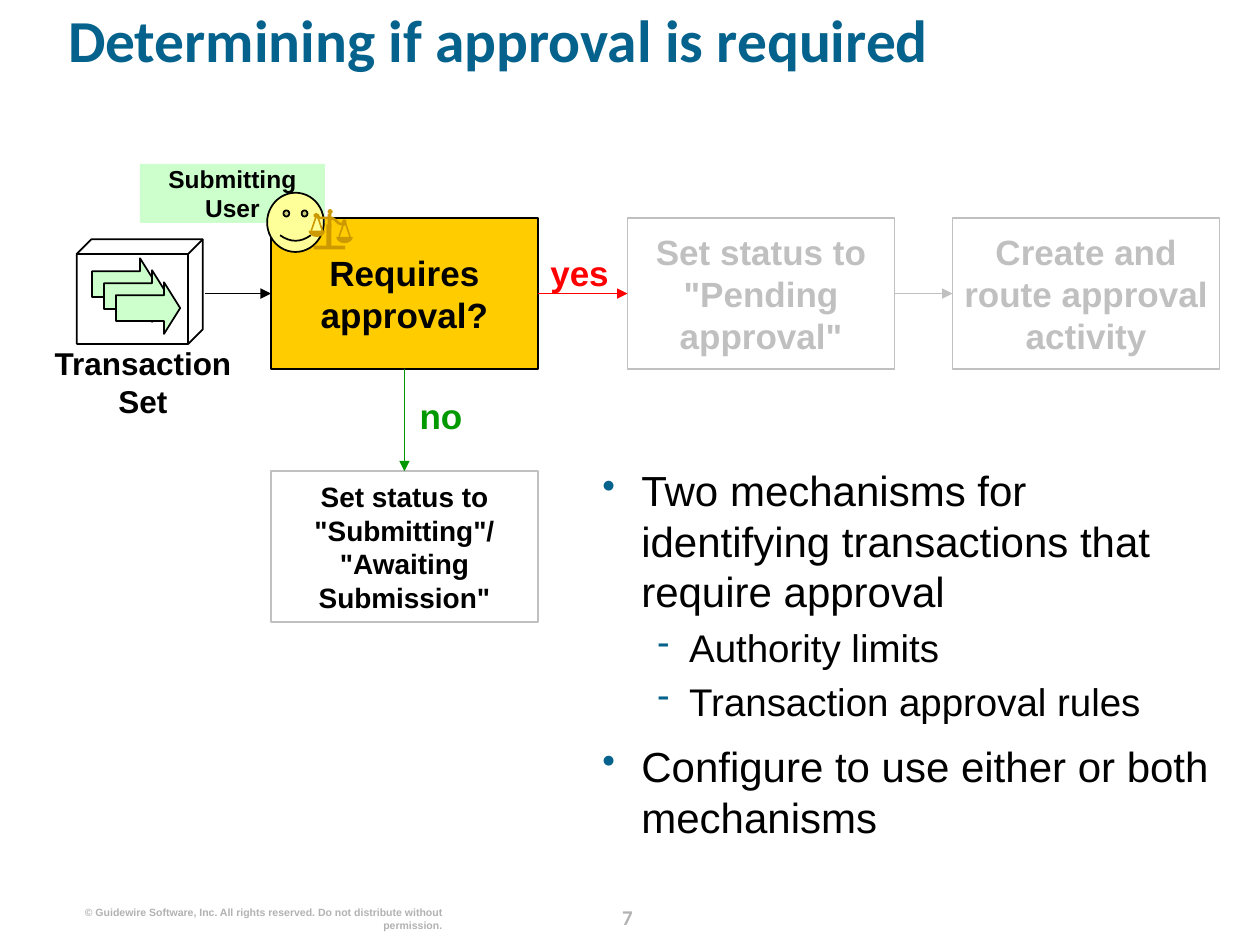
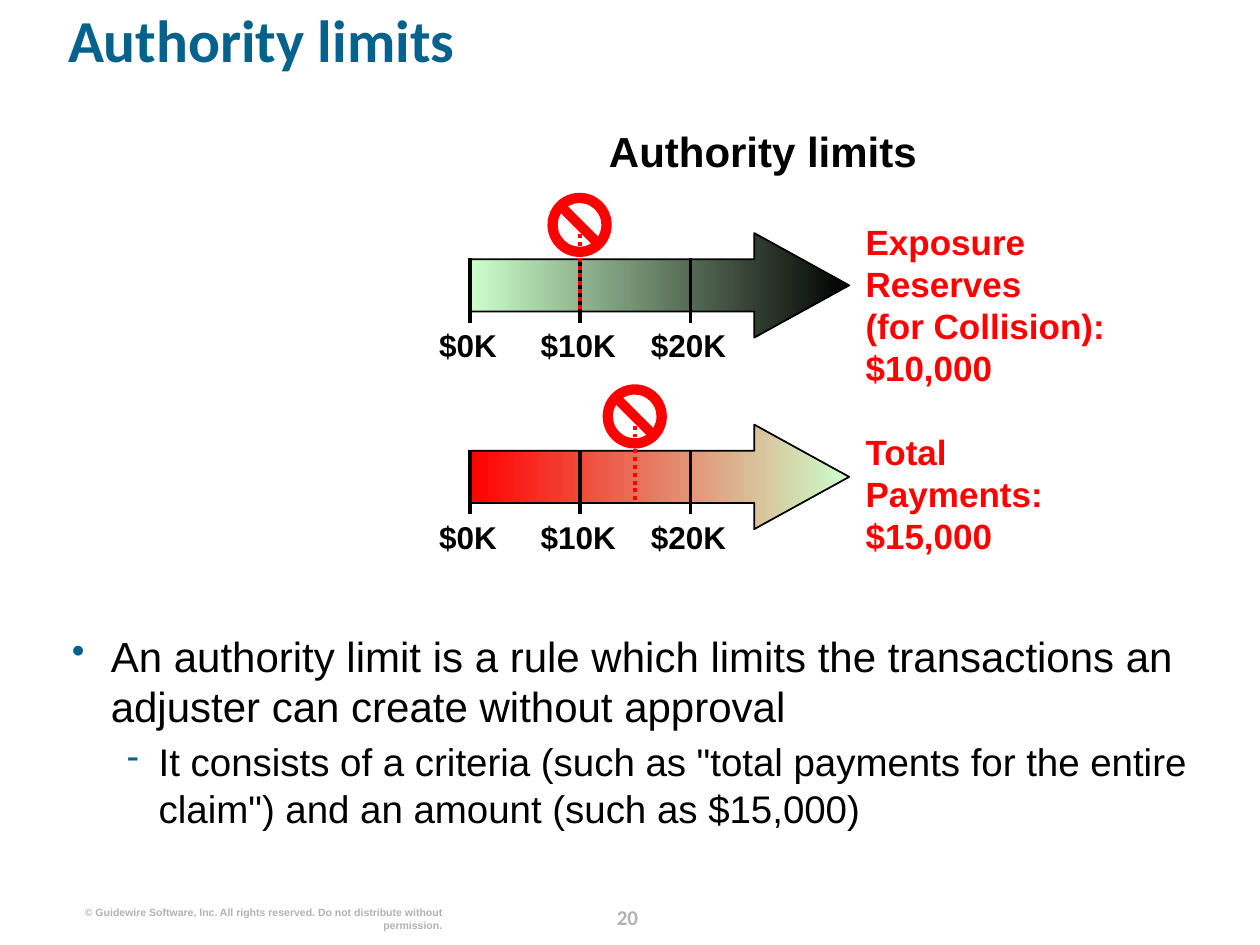
"""Build two slides on transaction approval and authority limits."""
import math
from dataclasses import dataclass
from typing import NamedTuple

import pptx
import pptx.dml.color
import pptx.enum.dml
import pptx.enum.shapes
import pptx.enum.text
import pptx.oxml
import pptx.oxml.ns
import pptx.util
from lxml import etree

Inches = pptx.util.Inches
Pt = pptx.util.Pt
SHAPE = pptx.enum.shapes.MSO_SHAPE
ALIGN = pptx.enum.text.PP_ALIGN
ANCHOR = pptx.enum.text.MSO_ANCHOR
TOP, LEFT, BOTTOM, RIGHT = range(4)


@dataclass(frozen=True)
class Theme:
    heading_font: str = "Calibri"
    body_font: str = "Arial"
    blue: str = "04628C"
    black: str = "000000"
    white: str = "FFFFFF"
    red: str = "FF0000"
    green: str = "009900"
    mint: str = "CCFFCC"
    amber: str = "FFCC00"
    face: str = "FFFF99"
    bronze: str = "CC9900"
    silver: str = "C0C0C0"
    footer: str = "B2B2B2"
    title_size: float = 34
    heading_size: float = 24
    bullet_size: float = 24
    dash_size: float = 22
    step_size: float = 20
    label_size: float = 18
    small_size: float = 16
    tag_size: float = 14
    number_size: float = 12
    copyright_size: float = 6
    thin: float = 1
    thick: float = 2.25


THEME = Theme()


class Box(NamedTuple):
    left: float
    top: float
    width: float
    height: float

    def lengths(self) -> list:
        return [Inches(value) for value in self]


class Style(NamedTuple):
    size: float
    color: str = THEME.black
    bold: bool = True
    font: str = THEME.body_font
    align: int = ALIGN.CENTER


class Bullet(NamedTuple):
    text: str
    level: int = 0


class Step(NamedTuple):
    text: str
    left: float
    top: float
    color: str
    outline: str
    size: float = THEME.step_size
    fill: str | None = None


class Gauge(NamedTuple):
    top: float
    start_color: str
    end_color: str
    limit: float
    caption: str
    caption_top: float


def rgb(color: str):
    return pptx.dml.color.RGBColor.from_string(color)


def style_paragraph(paragraph, style: Style) -> None:
    paragraph.alignment = style.align
    font = paragraph.font
    font.name, font.size, font.bold = style.font, Pt(style.size), style.bold
    font.color.rgb = rgb(style.color)


def prepare_frame(frame, inset: float = 0, anchor=ANCHOR.TOP):
    frame.word_wrap = True
    frame.margin_left = frame.margin_right = Inches(inset)
    frame.margin_top = frame.margin_bottom = 0
    frame.vertical_anchor = anchor
    return frame


def fill_frame(frame, text: str, style: Style):
    paragraph = frame.paragraphs[0]
    paragraph.text = text
    style_paragraph(paragraph, style)
    return paragraph


def add_text(slide, box: Box, text: str, style: Style):
    frame = prepare_frame(slide.shapes.add_textbox(*box.lengths()).text_frame)
    return fill_frame(frame, text, style)


def paint(shape, fill: str | None, line: str | None = None):
    shape.shadow.inherit = False
    if fill:
        shape.fill.solid()
        shape.fill.fore_color.rgb = rgb(fill)
    else:
        shape.fill.background()
    if line:
        shape.line.color.rgb = rgb(line)
        shape.line.width = Pt(THEME.thin)
    else:
        shape.line.fill.background()
    return shape


def add_shape(slide, kind, box: Box, fill: str | None, line: str | None = None,
              adjustments: tuple = ()):
    shape = slide.shapes.add_shape(kind, *box.lengths())
    for index, value in enumerate(adjustments):
        shape.adjustments[index] = value
    return paint(shape, fill, line)


def add_line(slide, start: tuple, end: tuple, color: str, width: float,
             arrow: bool = False, dotted: bool = False):
    line = slide.shapes.add_connector(
        pptx.enum.shapes.MSO_CONNECTOR.STRAIGHT,
        *[Inches(value) for value in (*start, *end)])
    line.line.color.rgb = rgb(color)
    line.line.width = Pt(width)
    if dotted:
        line.line.dash_style = pptx.enum.dml.MSO_LINE.ROUND_DOT
    properties = line.element.spPr
    if arrow:
        outline = properties.find(pptx.oxml.ns.qn("a:ln"))
        etree.SubElement(outline, pptx.oxml.ns.qn("a:tailEnd"), type="triangle")
    etree.SubElement(properties, pptx.oxml.ns.qn("a:effectLst"))
    return line


def join(slide, source, source_side: int, target, target_side: int, color: str) -> None:
    line = add_line(slide, (0, 0), (1, 1), color, THEME.thin, arrow=True)
    line.begin_connect(source, source_side)
    line.end_connect(target, target_side)


def add_outline(slide, points: list, fill: str) -> None:
    corners = [(Inches(x), Inches(y)) for x, y in points]
    builder = slide.shapes.build_freeform(*corners[0])
    builder.add_line_segments(corners[1:])
    paint(builder.convert_to_shape(), fill)


def mark_bullet(paragraph, level: int) -> None:
    properties = paragraph._p.get_or_add_pPr()
    properties.set("marL", str(Inches((0.31, 0.69)[level])))
    properties.set("indent", str(-Inches((0.31, 0.25)[level])))
    namespace = pptx.oxml.ns.nsdecls("a")
    for markup in (f'<a:buClr {namespace}><a:srgbClr val="{THEME.blue}"/></a:buClr>',
                   f'<a:buSzPct {namespace} val="90000"/>',
                   f'<a:buChar {namespace} char="{"•-"[level]}"/>'):
        properties.append(pptx.oxml.parse_xml(markup))


def add_bullets(slide, box: Box, bullets: list[Bullet]) -> None:
    frame = prepare_frame(slide.shapes.add_textbox(*box.lengths()).text_frame)
    for index, bullet in enumerate(bullets):
        paragraph = frame.add_paragraph() if index else frame.paragraphs[0]
        paragraph.text = bullet.text
        mark_bullet(paragraph, bullet.level)
        size = (THEME.bullet_size, THEME.dash_size)[bullet.level]
        style_paragraph(paragraph, Style(size, bold=False, align=ALIGN.LEFT))
        if index:
            paragraph.space_before = Pt(round(size * (0.4, 0.2)[bullet.level], 1))


def add_base_slide(presentation, title: str, number: int):
    slide = presentation.slides.add_slide(presentation.slide_layouts[6])
    slide.background.fill.solid()
    slide.background.fill.fore_color.rgb = rgb(THEME.white)
    heading = add_text(slide, Box(0.54, 0.13, 9.1, 0.81), title,
                       Style(THEME.title_size, THEME.blue, True, THEME.heading_font, ALIGN.LEFT))
    heading.line_spacing = 0.8
    page = add_text(slide, Box(4.73, 7.13, 0.5, 0.25), str(number),
                    Style(THEME.number_size, THEME.footer, font=THEME.heading_font))
    page.line_spacing = Pt(18)
    add_text(slide, Box(0.61, 7.19, 2.9, 0.2),
             "© Guidewire Software, Inc. All rights reserved. Do not distribute without permission.",
             Style(THEME.copyright_size, THEME.footer, align=ALIGN.RIGHT))
    return slide


def add_step(slide, step: Step):
    shape = add_shape(slide, SHAPE.RECTANGLE, Box(step.left, step.top, 2.12, 1.2),
                      step.fill, step.outline)
    frame = prepare_frame(shape.text_frame, 0.04, ANCHOR.MIDDLE)
    fill_frame(frame, step.text, Style(step.size, step.color))
    return shape


def add_scale_pan(slide, left: float, top: float) -> None:
    center = left + 0.065
    bowl = [(center - 0.065 * math.cos(math.pi * step / 16),
             top + 0.05 * math.sin(math.pi * step / 16)) for step in range(17)]
    add_outline(slide, bowl, THEME.bronze)
    for side in (-1, 1):
        string = [(-0.04, 0.01), (0, -0.11), (-0.01, -0.12), (-0.05, 0)]
        add_outline(slide, [(center - side * x, top + y) for x, y in string], THEME.bronze)


def add_scales(slide) -> None:
    beam = [(2.75, 1.77), (2.75, 1.75), (2.73, 1.74), (2.72, 1.75), (2.71, 1.77), (2.69, 1.76),
            (2.67, 1.74), (2.64, 1.72), (2.6, 1.72), (2.54, 1.72), (2.53, 1.7), (2.51, 1.69),
            (2.49, 1.7), (2.49, 1.72), (2.51, 1.73), (2.53, 1.74), (2.6, 1.74), (2.65, 1.75),
            (2.68, 1.78), (2.71, 1.79), (2.74, 1.79)]
    add_outline(slide, beam, THEME.bronze)
    add_scale_pan(slide, 2.45, 1.83)
    add_scale_pan(slide, 2.67, 1.88)
    for part in (Box(2.6, 1.7, 0.03, 0.11), Box(2.59, 1.78, 0.04, 0.18),
                 Box(2.49, 1.95, 0.25, 0.03)):
        add_shape(slide, SHAPE.RECTANGLE, part, THEME.bronze)
    add_shape(slide, SHAPE.OVAL, Box(2.6, 1.66, 0.04, 0.04), THEME.bronze)


def build_approval_slide(presentation) -> None:
    slide = add_base_slide(presentation, "Determining if approval is required", 7)
    decision, pending, activity, submitting = [add_step(slide, step) for step in (
        Step("Requires approval?", 2.15, 1.73, THEME.black, THEME.black, fill=THEME.amber),
        Step('Set status to "Pending approval"', 4.98, 1.73, THEME.silver, THEME.silver),
        Step("Create and route approval activity", 7.56, 1.73, THEME.silver, THEME.silver),
        Step('Set status to "Submitting"/\n"Awaiting Submission"', 2.15, 3.74,
             THEME.black, THEME.silver, THEME.small_size))]
    for index in range(3):
        arrow = Box(0.73 + 0.095 * index, 2.05 + 0.095 * index, 0.51, 0.41)
        add_shape(slide, SHAPE.RIGHT_ARROW, arrow, THEME.mint, THEME.black, (0.5, 0.313))
    add_shape(slide, SHAPE.CUBE, Box(0.61, 1.9, 1, 0.83), None, THEME.black, (0.139,))
    add_text(slide, Box(0.4, 2.73, 1.47, 0.6), "Transaction\nSet", Style(THEME.label_size))

    join(slide, decision, RIGHT, pending, LEFT, THEME.red)
    join(slide, decision, BOTTOM, submitting, TOP, THEME.green)
    join(slide, pending, RIGHT, activity, LEFT, THEME.silver)
    entry = add_line(slide, (1.63, 2.33), (2.15, 2.33), THEME.black, THEME.thin, arrow=True)
    entry.end_connect(decision, LEFT)
    add_text(slide, Box(4.27, 2, 0.66, 0.33), "yes", Style(THEME.step_size, THEME.red))
    add_text(slide, Box(3.33, 3.13, 0.41, 0.33), "no",
             Style(THEME.step_size, THEME.green, align=ALIGN.LEFT))

    user = add_shape(slide, SHAPE.RECTANGLE, Box(1.11, 1.3, 1.47, 0.47), THEME.mint)
    fill_frame(prepare_frame(user.text_frame, anchor=ANCHOR.MIDDLE), "Submitting User",
               Style(THEME.tag_size))
    add_shape(slide, SHAPE.SMILEY_FACE, Box(2.12, 1.53, 0.45, 0.47), THEME.face,
              THEME.black, (0.047,))
    add_scales(slide)
    add_bullets(slide, Box(4.78, 3.69, 4.92, 3.3), [
        Bullet("Two mechanisms for identifying transactions that require approval"),
        Bullet("Authority limits", 1),
        Bullet("Transaction approval rules", 1),
        Bullet("Configure to use either or both mechanisms")])


def add_gauge(slide, gauge: Gauge) -> None:
    left, tick_gap, top = 3.73, 0.875, gauge.top
    arrow = add_shape(slide, SHAPE.RIGHT_ARROW, Box(left, top, 3.01, 0.83),
                      THEME.white, THEME.black, (0.5, 0.908))
    arrow.fill.gradient()
    arrow.fill.gradient_angle = 0
    for stop, color in zip(arrow.fill.gradient_stops, (gauge.start_color, gauge.end_color)):
        stop.color.rgb = rgb(color)
    for index, label in enumerate(("$0K", "$10K", "$20K")):
        tick = left + tick_gap * index
        add_line(slide, (tick, top + 0.71), (tick, top + 0.2), THEME.black, THEME.thick)
        add_text(slide, Box(tick - 0.5, top + 0.74, 0.97, 0.3), label, Style(THEME.label_size))
    limit = left + tick_gap * gauge.limit / 10
    add_line(slide, (limit, top + 0.6), (limit, top - 0.07), THEME.red, THEME.thick, dotted=True)
    add_shape(slide, SHAPE.NO_SYMBOL, Box(limit - 0.26, top - 0.32, 0.51, 0.51),
              THEME.red, adjustments=(0.16,))
    add_text(slide, Box(6.87, gauge.caption_top, 1.96, 1.33), gauge.caption,
             Style(THEME.step_size, THEME.red, align=ALIGN.LEFT))


def build_limits_slide(presentation) -> None:
    slide = add_base_slide(presentation, "Authority limits", 20)
    add_text(slide, Box(3.76, 1, 4.59, 0.4), "Authority limits", Style(THEME.heading_size))
    for gauge in (
            Gauge(1.85, THEME.mint, THEME.black, 10,
                  "Exposure\nReserves\n(for Collision):\n$10,000", 1.75),
            Gauge(3.37, THEME.red, THEME.mint, 15, "Total\nPayments:\n$15,000", 3.42)):
        add_gauge(slide, gauge)
    add_bullets(slide, Box(0.57, 5, 9.1, 1.88), [
        Bullet("An authority limit is a rule which limits the transactions an adjuster "
               "can create without approval"),
        Bullet('It consists of a criteria (such as "total payments for the entire claim") '
               "and an amount (such as $15,000)", 1)])


def main() -> None:
    presentation = pptx.Presentation()
    presentation.slide_width, presentation.slide_height = Inches(10), Inches(7.5)
    build_approval_slide(presentation)
    build_limits_slide(presentation)
    presentation.save("out.pptx")


if __name__ == "__main__":
    main()
